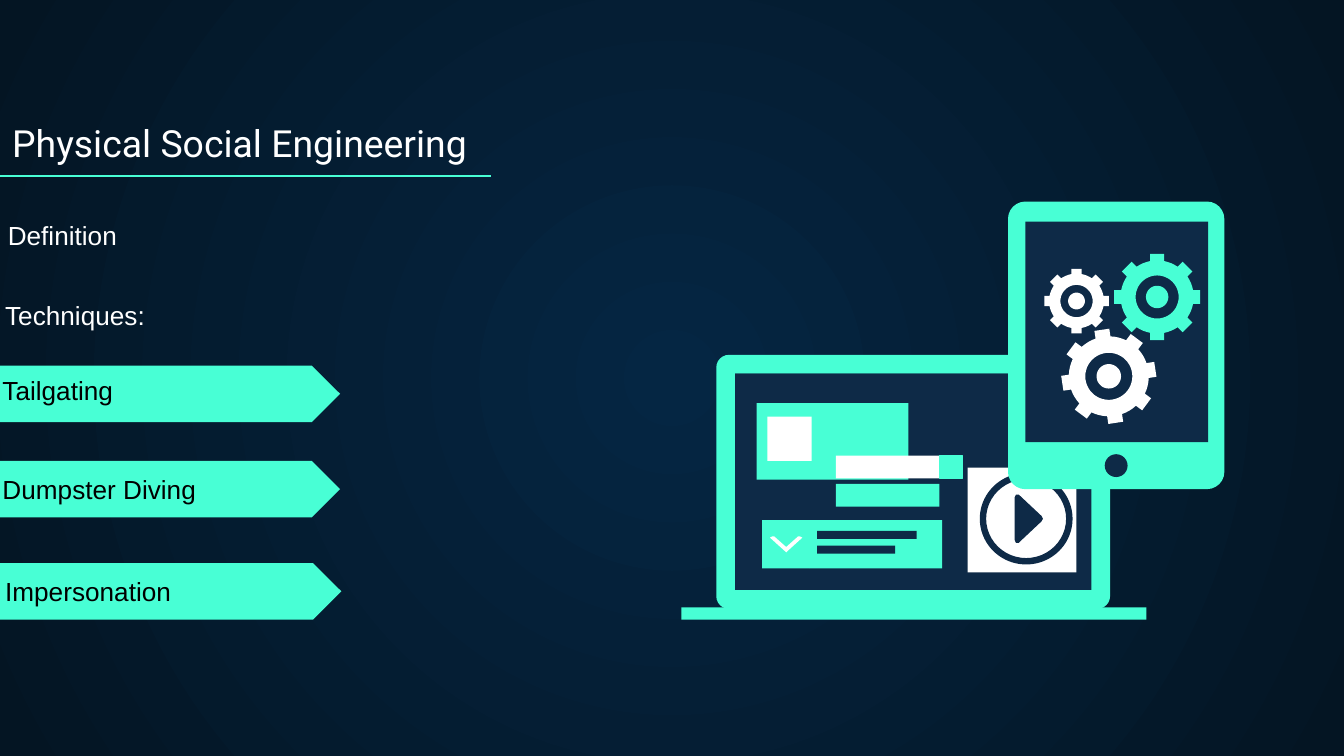
from dataclasses import dataclass
from math import asin, cos, pi, radians, sin, sqrt
from typing import NamedTuple

from lxml import etree
from pptx import Presentation
from pptx.dml.color import RGBColor
from pptx.enum.shapes import MSO_CONNECTOR, MSO_SHAPE
from pptx.enum.text import MSO_ANCHOR, MSO_AUTO_SIZE, PP_ALIGN
from pptx.oxml.ns import qn
from pptx.util import Inches, Pt

RECTANGLE = MSO_SHAPE.RECTANGLE
ROUNDED = MSO_SHAPE.ROUNDED_RECTANGLE
PENTAGON = MSO_SHAPE.PENTAGON
OVAL = MSO_SHAPE.OVAL
DONUT = MSO_SHAPE.DONUT
STRAIGHT = MSO_CONNECTOR.STRAIGHT
BOTTOM = MSO_ANCHOR.BOTTOM
NO_AUTOFIT = MSO_AUTO_SIZE.NONE
GROW = MSO_AUTO_SIZE.SHAPE_TO_FIT_TEXT
LEFT = PP_ALIGN.LEFT


@dataclass(frozen=True)
class Theme:
    glow: str = "052643"
    edge: str = "041523"
    accent: str = "48FFD5"
    screen: str = "0E2A47"
    light: str = "FFFFFF"
    dark: str = "000000"
    title_font: str = "Roboto"
    body_font: str = "Arial"
    title_size: int = 20
    body_size: int = 14
    line_width: float = 0.75


THEME = Theme()


class Part(NamedTuple):
    left: float
    top: float
    width: float
    height: float
    color: str
    kind: MSO_SHAPE = RECTANGLE
    adjustment: float | None = None
    outlined: bool = False


class Label(NamedTuple):
    text: str
    left: float
    top: float
    color: str


class Gear(NamedTuple):
    x: float
    y: float
    radius: float
    color: str
    tilt: float = 0


Points = list[tuple[float, float]]

BANNERS = [
    Part(left, top, 2.54, 0.42, THEME.accent, PENTAGON, 0.5)
    for left, top in ((0, 4.19), (-0.01, 3.43), (-0.01, 2.72))
]
LABELS = [
    Label("Definition", -0.04, 1.58, THEME.light),
    Label("Techniques:", -0.06, 2.18, THEME.light),
    Label("Tailgating", -0.08, 2.74, THEME.dark),
    Label("Dumpster Diving", -0.08, 3.47, THEME.dark),
    Label("Impersonation", -0.06, 4.23, THEME.dark),
]
LAPTOP = [
    Part(5.33, 2.64, 2.93, 1.89, THEME.accent, ROUNDED, 0.05),
    Part(5.47, 2.78, 2.65, 1.61, THEME.screen),
    Part(5.07, 4.52, 3.46, 0.09, THEME.accent),
    Part(5.47, 2.78, 2.65, 0.15, THEME.screen),
    Part(5.63, 3, 1.13, 0.57, THEME.accent),
    Part(5.71, 3.1, 0.33, 0.33, THEME.light),
    Part(6.02, 3.87, 0.99, 0.36, THEME.accent),
    Part(6.08, 3.95, 0.74, 0.06, THEME.screen),
    Part(6.08, 4.06, 0.58, 0.06, THEME.screen),
    Part(5.67, 3.87, 0.35, 0.36, THEME.accent),
    Part(6.22, 3.6, 0.77, 0.17, THEME.accent),
    Part(6.22, 3.39, 0.77, 0.17, THEME.light),
    Part(6.99, 3.39, 0.17, 0.17, THEME.accent, outlined=True),
    Part(7.2, 3.48, 0.81, 0.78, THEME.light),
    Part(7.29, 3.52, 0.69, 0.68, THEME.screen, DONUT, 0.07),
]
TABLET = [
    Part(7.5, 1.5, 1.61, 2.14, THEME.accent, ROUNDED, 0.08),
    Part(7.63, 1.65, 1.36, 1.64, THEME.screen),
    Part(8.22, 3.38, 0.17, 0.17, THEME.screen, OVAL),
]
CHEVRON = [
    (5.75, 3.99), (5.76, 3.99), (5.85, 4.07), (5.94, 3.99), (5.95, 3.99), (5.97, 4),
    (5.96, 4.01), (5.86, 4.1), (5.85, 4.11), (5.84, 4.1), (5.74, 4.01), (5.73, 4),
]
PLAY = [
    (7.55, 3.7), (7.56, 3.68), (7.58, 3.68), (7.59, 3.69), (7.75, 3.84), (7.76, 3.86),
    (7.75, 3.88), (7.59, 4.03), (7.58, 4.04), (7.56, 4.04), (7.55, 4.02),
]
GEARS = [
    Gear(8.61, 2.21, 0.32, THEME.accent),
    Gear(8.01, 2.24, 0.24, THEME.light),
    Gear(8.25, 2.8, 0.35, THEME.light, -8.5),
]


def rgb(color: str) -> RGBColor:
    return RGBColor.from_string(color)


def paint(shape, color: str, outlined: bool = False) -> None:
    shape.shadow.inherit = False
    shape.fill.solid()
    shape.fill.fore_color.rgb = rgb(color)
    if outlined:
        shape.line.color.rgb = rgb(color)
        shape.line.width = Pt(THEME.line_width)
    else:
        shape.line.fill.background()


def add_part(slide, part: Part) -> None:
    box = (Inches(value) for value in part[:4])
    shape = slide.shapes.add_shape(part.kind, *box)
    if part.adjustment is not None:
        shape.adjustments[0] = part.adjustment
    paint(shape, part.color, part.outlined)


def add_outline(slide, contours: list[Points], color: str) -> None:
    """Draw closed contours as one shape; nested contours cut holes."""
    scaled = [[(Inches(x), Inches(y)) for x, y in points] for points in contours]
    builder = slide.shapes.build_freeform(*scaled[0][0])
    for index, points in enumerate(scaled):
        if index:
            builder.move_to(*points[0])
        builder.add_line_segments(points[1:], close=True)
    paint(builder.convert_to_shape(), color)


def gear_contours(gear: Gear, teeth: int = 8, arc_steps: int = 4) -> list[Points]:
    """Return the toothed rim, the ring hole and the hub of a gear."""
    body, half_tooth = 0.85 * gear.radius, 0.16 * gear.radius
    base = sqrt(body**2 - half_tooth**2)
    tooth = ((base, -half_tooth), (gear.radius, -half_tooth),
             (gear.radius, half_tooth), (base, half_tooth))
    pitch, half_angle = 2 * pi / teeth, asin(half_tooth / body)

    def polar(radius: float, angle: float) -> tuple[float, float]:
        return gear.x + radius * cos(angle), gear.y + radius * sin(angle)

    rim: Points = []
    for index in range(teeth):
        angle = radians(gear.tilt) + index * pitch
        rim += [(gear.x + along * cos(angle) - across * sin(angle),
                 gear.y + along * sin(angle) + across * cos(angle))
                for along, across in tooth]
        gap = (pitch - 2 * half_angle) / arc_steps
        rim += [polar(body, angle + half_angle + step * gap)
                for step in range(1, arc_steps)]
    circles = [[polar(share * gear.radius, 2 * pi * step / 48) for step in range(48)]
               for share in (0.5, 0.26)]
    return [rim, *circles]


def write_text(frame, text: str, *, font: str, size: int, color: str) -> None:
    paragraph = frame.paragraphs[0]
    paragraph.alignment = LEFT
    run = paragraph.add_run()
    run.text = text
    run.font.name = font
    run.font.size = Pt(size)
    run.font.color.rgb = rgb(color)


def add_label(slide, label: Label) -> None:
    box = slide.shapes.add_textbox(
        Inches(label.left), Inches(label.top), Inches(5.04), Inches(0.34))
    box.text_frame.word_wrap = True
    box.text_frame.auto_size = GROW
    write_text(box.text_frame, label.text, font=THEME.body_font,
               size=THEME.body_size, color=label.color)


def set_background(slide) -> None:
    """Fill the background with a gradient that spreads from the centre."""
    fill = slide.background.fill
    fill.gradient()
    for stop, color in zip(fill.gradient_stops, (THEME.glow, THEME.edge)):
        stop.color.rgb = rgb(color)
    gradient = next(slide.element.iter(qn("a:gradFill")))
    gradient.remove(gradient.find(qn("a:lin")))
    circle = etree.SubElement(gradient, qn("a:path"), {"path": "circle"})
    etree.SubElement(circle, qn("a:fillToRect"),
                     {side: "50000" for side in ("l", "t", "r", "b")})


def set_title(slide, text: str) -> None:
    title = slide.shapes.title
    title.left, title.top = Inches(-0.01), Inches(0.67)
    title.width, title.height = Inches(5.78), Inches(0.66)
    frame = title.text_frame
    frame.auto_size = NO_AUTOFIT
    frame.vertical_anchor = BOTTOM
    frame.margin_left = frame.margin_right = Inches(0.1)
    frame.margin_top = frame.margin_bottom = Inches(0.1)
    write_text(frame, text, font=THEME.title_font,
               size=THEME.title_size, color=THEME.light)


def add_title_rule(slide) -> None:
    rule = slide.shapes.add_connector(
        STRAIGHT, Inches(0), Inches(1.31), Inches(3.65), Inches(1.31))
    rule.line.color.rgb = rgb(THEME.accent)
    rule.line.width = Pt(THEME.line_width)
    etree.SubElement(rule.element.spPr, qn("a:effectLst"))


def main() -> None:
    presentation = Presentation()
    presentation.slide_width = Inches(10)
    presentation.slide_height = Inches(10 * 9 / 16)
    slide = presentation.slides.add_slide(presentation.slide_layouts[0])
    subtitle = slide.placeholders[1].element
    subtitle.getparent().remove(subtitle)

    set_background(slide)
    for part in BANNERS:
        add_part(slide, part)
    set_title(slide, "Physical Social Engineering")
    add_title_rule(slide)
    for part in LAPTOP:
        add_part(slide, part)
    add_outline(slide, [CHEVRON], THEME.light)
    add_outline(slide, [PLAY], THEME.screen)
    for part in TABLET:
        add_part(slide, part)
    for gear in GEARS:
        add_outline(slide, gear_contours(gear), gear.color)
    for label in LABELS:
        add_label(slide, label)
    presentation.save("out.pptx")


if __name__ == "__main__":
    main()
